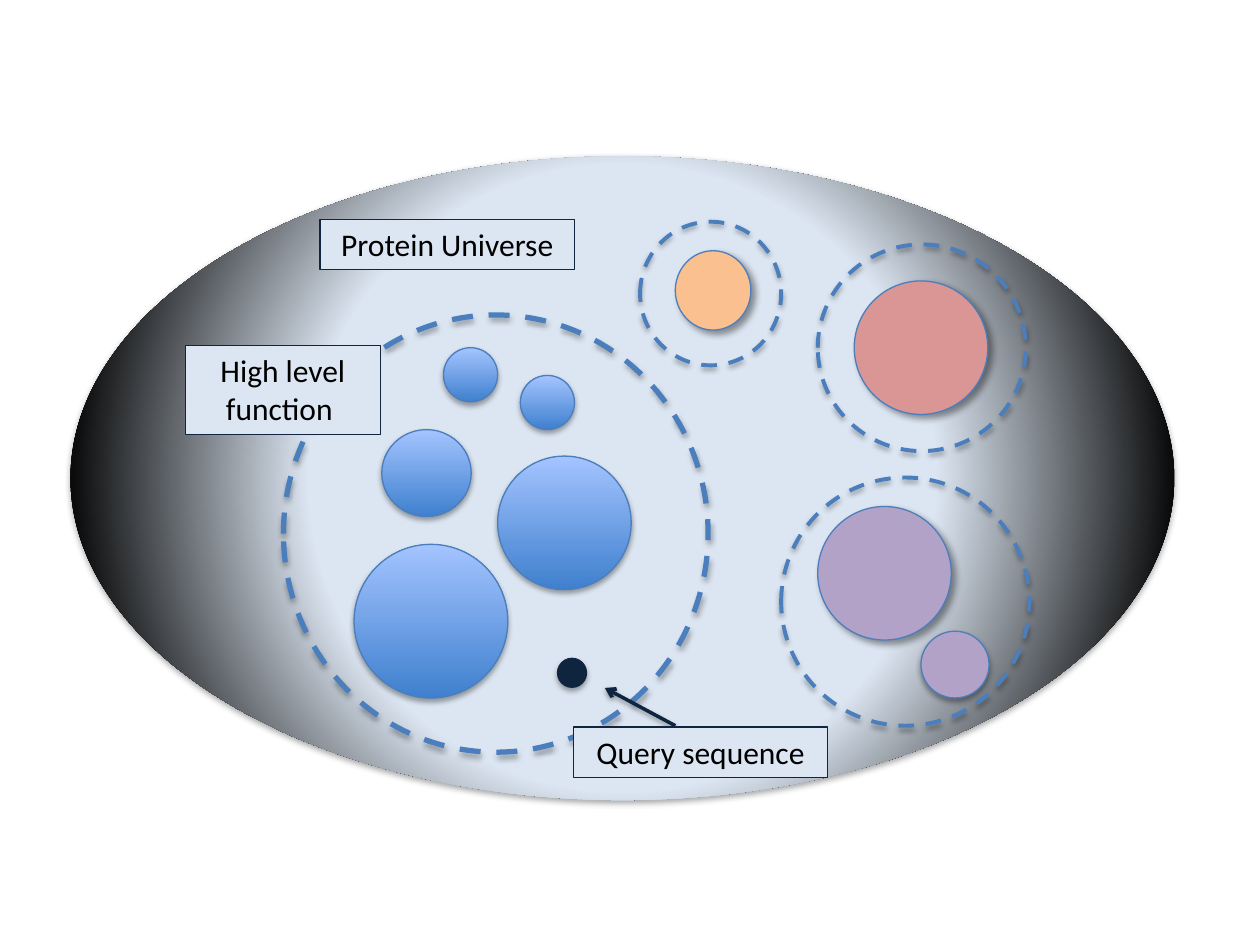
from lxml.etree import SubElement
from pptx import Presentation
from pptx.dml.color import RGBColor
from pptx.enum.dml import MSO_LINE_DASH_STYLE as Dash
from pptx.enum.shapes import MSO_CONNECTOR as Connector, MSO_SHAPE as Shape
from pptx.enum.text import MSO_ANCHOR as Anchor, MSO_AUTO_SIZE as AutoSize, PP_ALIGN as Align
from pptx.oxml.ns import qn
from pptx.util import Inches, Pt

COLORS = {
    "pale": "DCE6F2", "black": "000000", "outline": "4B7EBC",
    "blue_low": "3F80CE", "blue_high": "A4C4FF", "purple": "B3A2C7",
    "red": "D99694", "orange": "FAC090", "navy": "0F243E", "label_edge": "10253F",
}
SOFT = {"alpha": 35, "blur": 3.1, "distance": 1.8, "angle": 90}
SIDE = {"alpha": 40, "blur": 4, "distance": 3, "angle": 45}
ARROW = {"alpha": 38, "blur": 3.1, "distance": 1.6, "angle": 90}
BLUE_STOPS = [(0, "blue_low"), (1, "blue_high")]


def rgb(name):
    """Return the named colour."""
    return RGBColor.from_string(COLORS[name])


def add_shadow(shape, alpha, blur, distance, angle):
    """Give a shape or connector an outer shadow."""
    properties = shape.element.spPr
    effects = properties.find(qn("a:effectLst"))
    if effects is None:
        effects = SubElement(properties, qn("a:effectLst"))
    shadow = SubElement(effects, qn("a:outerShdw"), blurRad=str(Pt(blur)),
                        dist=str(Pt(distance)), dir=str(angle * 60000), rotWithShape="0")
    color = SubElement(shadow, qn("a:srgbClr"), val=COLORS["black"])
    SubElement(color, qn("a:alpha"), val=str(alpha * 1000))


def set_gradient(shape, stops, radial=False):
    """Fill a shape with an upward or a radial gradient."""
    shape.fill.gradient()
    shape.fill.gradient_angle = 90
    for stop, (position, color) in zip(shape.fill.gradient_stops, stops):
        stop.position = position
        stop.color.rgb = rgb(color)
    if radial:
        gradient = shape.element.spPr.find(qn("a:gradFill"))
        gradient.remove(gradient.find(qn("a:lin")))
        route = SubElement(gradient, qn("a:path"), path="circle")
        SubElement(route, qn("a:fillToRect"), l="50000", t="50000", r="50000", b="50000")


def add_shape(page, kind, bounds, fill=None, line=None, width=0.75):
    """Add a preset shape with a plain fill and outline."""
    shape = page.shapes.add_shape(kind, *map(Inches, bounds))
    shape.shadow.inherit = False
    if fill:
        shape.fill.solid()
        shape.fill.fore_color.rgb = rgb(fill)
    else:
        shape.fill.background()
    if line:
        shape.line.color.rgb = rgb(line)
        shape.line.width = Pt(width)
    else:
        shape.line.fill.background()
    return shape


def add_circle(page, bounds, shadow=SOFT, stops=None, radial=False, dash=None, **style):
    """Add an ellipse with a shadow."""
    circle = add_shape(page, Shape.OVAL, bounds, **style)
    if stops:
        set_gradient(circle, stops, radial)
    if dash:
        circle.line.dash_style = dash
    add_shadow(circle, **shadow)


def add_label(page, text, bounds, size=18, font="Calibri"):
    """Add a bordered label with centred text."""
    box = add_shape(page, Shape.RECTANGLE, bounds, fill="pale", line="label_edge")
    frame = box.text_frame
    frame.word_wrap = True
    frame.auto_size = AutoSize.SHAPE_TO_FIT_TEXT
    frame.vertical_anchor = Anchor.TOP
    para = frame.paragraphs[0]
    para.alignment = Align.CENTER
    span = para.add_run()
    span.text = text
    span.font.name = font
    span.font.size = Pt(size)
    span.font.color.rgb = rgb("black")


def add_arrow(page, start, end):
    """Add a navy arrow between two points."""
    arrow = page.shapes.add_connector(Connector.STRAIGHT, *map(Inches, start + end))
    arrow.line.color.rgb = rgb("navy")
    arrow.line.width = Pt(2)
    SubElement(arrow.element.spPr.find(qn("a:ln")), qn("a:tailEnd"), type="arrow")
    add_shadow(arrow, **ARROW)


def main():
    """Build the protein universe slide."""
    deck = Presentation()
    deck.slide_width, deck.slide_height = Inches(10), Inches(7.5)
    page = deck.slides.add_slide(deck.slide_layouts[6])

    add_circle(page, (0.56, 1.24, 8.76, 5.11),
               stops=[(0.49, "pale"), (0.88, "black")], radial=True)
    for bounds in [(4.13, 2.98, 0.43, 0.43), (3.95, 3.62, 1.06, 1.06),
                   (3.03, 3.41, 0.71, 0.69), (3.52, 2.76, 0.43, 0.43),
                   (2.81, 4.32, 1.22, 1.22)]:
        add_circle(page, bounds, stops=BLUE_STOPS, line="outline")
    for bounds, fill, shadow in [((6.49, 4.02, 1.06, 1.06), "purple", SIDE),
                                 ((6.78, 2.23, 1.06, 1.06), "red", SIDE),
                                 ((7.31, 5.01, 0.54, 0.53), "purple", SOFT),
                                 ((5.36, 1.99, 0.6, 0.63), "orange", SIDE)]:
        add_circle(page, bounds, fill=fill, line="outline", shadow=shadow)
    add_circle(page, (4.42, 5.22, 0.24, 0.24), fill="navy")
    for bounds, width in [((2.25, 2.5, 3.37, 3.47), 3), ((6.2, 3.79, 1.97, 1.97), 2.25),
                          ((6.49, 1.94, 1.65, 1.64), 2.25), ((5.08, 1.76, 1.12, 1.14), 2.25)]:
        add_circle(page, bounds, line="outline", width=width, dash=Dash.DASH)
    add_arrow(page, (5.36, 5.76), (4.8, 5.46))
    for text, bounds in [("Protein Universe", (2.54, 1.74, 2.02, 0.4)),
                         ("High level function ", (1.47, 2.74, 1.55, 0.71)),
                         ("Query sequence", (4.55, 5.77, 2.02, 0.4))]:
        add_label(page, text, bounds)
    deck.save("out.pptx")


main()
